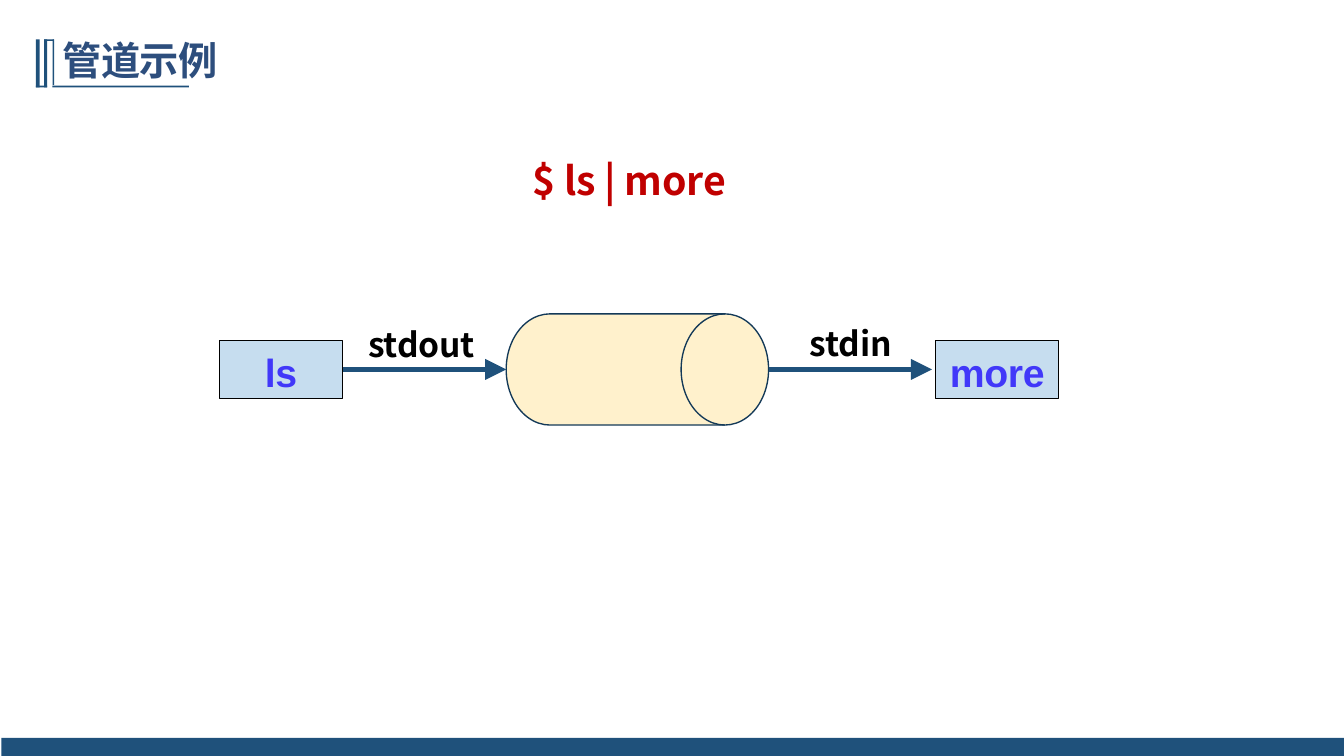
from lxml.etree import SubElement
from pptx import Presentation
from pptx.dml.color import RGBColor
from pptx.enum.shapes import MSO_CONNECTOR, MSO_SHAPE
from pptx.enum.text import MSO_ANCHOR, PP_ALIGN
from pptx.oxml.ns import qn
from pptx.util import Pt

COLORS = {
    "bar": "1F517B", "title": "2D4E7D", "command": "C00000", "drum": "FFF1CC",
    "drum_line": "133958", "node": "C6DDEF", "node_text": "4138F9", "black": "000000",
}
CJK, LATIN = "Noto Sans CJK SC", "Arial"


def rgb(name):
    return RGBColor.from_string(COLORS[name])


def set_text(sp, text, size, color, font=CJK, inset=1.5, align=PP_ALIGN.LEFT, spacing=-0.2):
    tf = sp.text_frame
    frame = {"margin_left": 0, "margin_right": 0, "margin_bottom": 0,
             "margin_top": Pt(inset), "word_wrap": False,
             "vertical_anchor": MSO_ANCHOR.TOP}
    for name, value in frame.items():
        setattr(tf, name, value)
    p = tf.paragraphs[0]
    p.alignment = align
    r = p.add_run()
    r.text = text
    for name, value in {"size": Pt(size), "bold": True, "name": font}.items():
        setattr(r.font, name, value)
    r.font.color.rgb = rgb(color)
    rPr = r._r.get_or_add_rPr()
    rPr.set("spc", str(round(spacing * 100)))
    SubElement(rPr, qn("a:ea")).set("typeface", font)


def add_label(s, x, y, w, h, text, size, color, **fmt):
    sp = s.shapes.add_textbox(Pt(x), Pt(y), Pt(w), Pt(h))
    set_text(sp, text, size, color, **fmt)


def add_block(s, kind, x, y, w, h, fill, line=None, width=0):
    sp = s.shapes.add_shape(kind, Pt(x), Pt(y), Pt(w), Pt(h))
    sp.shadow.inherit = False
    sp.fill.solid()
    sp.fill.fore_color.rgb = rgb(fill)
    if line:
        sp.line.color.rgb = rgb(line)
        sp.line.width = Pt(width)
    else:
        sp.line.fill.background()
    return sp


def add_arrow(s, x1, x2, y):
    c = s.shapes.add_connector(MSO_CONNECTOR.STRAIGHT, Pt(x1), Pt(y), Pt(x2), Pt(y))
    c.line.color.rgb = rgb("bar")
    c.line.width = Pt(3)
    tail = SubElement(c.line._get_or_add_ln(), qn("a:tailEnd"))
    for name, value in {"type": "triangle", "w": "lg", "len": "lg"}.items():
        tail.set(name, value)
    SubElement(c._element.spPr, qn("a:effectLst"))


def add_header(s, x, y, w, h):
    # Column ornament: three uprights, a cap and two base lines
    for dx, dy, bw, bh in [(0, 0, 2.6, h), (5.8, 0, 2.2, h), (11.8, 0, 1.1, h - 1.5),
                           (5.8, 0, 7.1, 1.1), (0, h - 1.2, 8, 1.2),
                           (11.8, h - 1.2, w - 11.8, 1.2)]:
        add_block(s, MSO_SHAPE.RECTANGLE, x + dx, y + dy, bw, bh, "bar")
    # Title
    title = s.shapes.title
    place = {"left": x + 19, "top": y - 3.7, "width": 114, "height": 35.3}
    for name, value in place.items():
        setattr(title, name, Pt(value))
    set_text(title, "管道示例", 28, "title", spacing=-0.3)


def add_pipe_diagram(s, x, y, w, h):
    node_w, node_h, arrow_w, drum_w = 88.2, 41.4, 116.7, 187.4
    mid = y + h / 2
    drum_x = x + node_w + arrow_w
    drum_end = drum_x + drum_w
    # Pipe
    add_block(s, MSO_SHAPE.FLOWCHART_DIRECT_ACCESS_STORAGE, drum_x, y, drum_w, h,
              "drum", "drum_line", 0.96)
    # Commands
    for node_x, text in [(x, "ls"), (x + w - node_w, "more")]:
        sp = add_block(s, MSO_SHAPE.RECTANGLE, node_x, mid - node_h / 2, node_w, node_h,
                       "node", "black", 0.72)
        set_text(sp, text, 28, "node_text", font=LATIN, inset=5.8, align=PP_ALIGN.CENTER)
    # Streams
    for start, dx, dy, label_w, text in [(x + node_w, 18, -34.2, 80, "stdout"),
                                         (drum_end, 29.3, -34.9, 62, "stdin")]:
        add_arrow(s, start, start + arrow_w, mid)
        add_label(s, start + dx, mid + dy, label_w, 31, text, 24, "black", spacing=-0.1)


def main():
    prs = Presentation()
    prs.slide_width, prs.slide_height = Pt(960), Pt(540)
    s = prs.slides.add_slide(prs.slide_layouts[5])
    # Footer bar
    add_block(s, MSO_SHAPE.RECTANGLE, 1, 527, 959, 13, "bar")
    add_header(s, 25.7, 28.2, 109.2, 34.2)
    # Shell command
    add_label(s, 380.2, 110.2, 150, 35.3, "$ ls | more", 28, "command", spacing=-0.05)
    add_pipe_diagram(s, 156.7, 224.2, 599.7, 79.4)
    prs.save("out.pptx")


if __name__ == "__main__":
    main()
